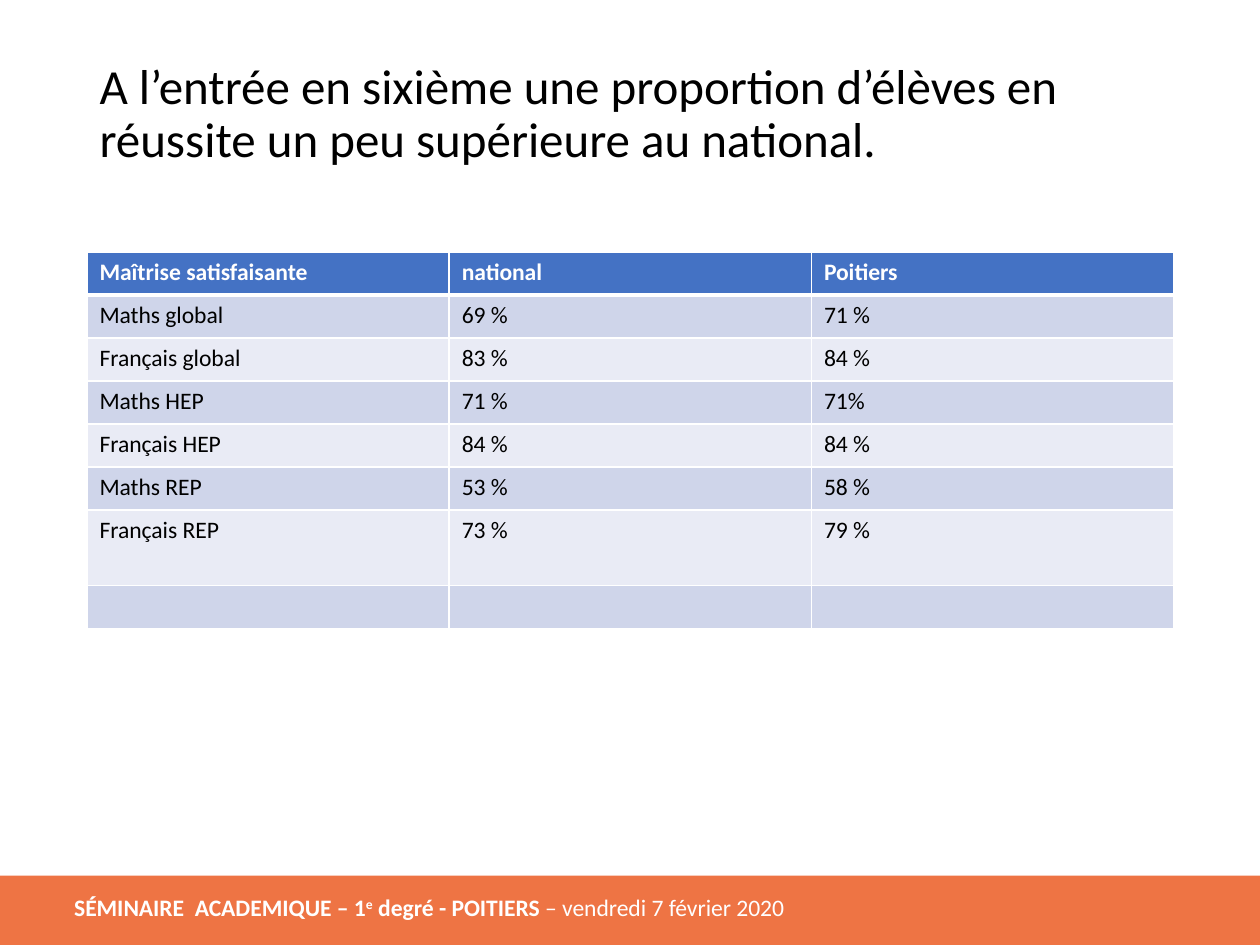
from dataclasses import dataclass

from lxml import etree
from pptx import Presentation
from pptx.dml.color import RGBColor
from pptx.enum.shapes import MSO_SHAPE
from pptx.enum.text import MSO_ANCHOR, MSO_AUTO_SIZE, PP_ALIGN
from pptx.oxml.ns import qn
from pptx.util import Pt

RECTANGLE = MSO_SHAPE.RECTANGLE
MIDDLE = MSO_ANCHOR.MIDDLE
LEFT = PP_ALIGN.LEFT
NO_AUTOFIT = MSO_AUTO_SIZE.NONE


@dataclass(frozen=True)
class Theme:
    font: str = "Calibri"
    title_size: float = 28
    body_size: float = 13.5
    black: str = "000000"
    white: str = "FFFFFF"
    orange: str = "EE7444"
    header: str = "4472C4"
    bands: tuple = ("CFD5EA", "E9EBF5")
    thin: float = 1
    thick: float = 3


THEME = Theme()

TITLE = ("A l’entrée en sixième une proportion d’élèves en "
         "réussite un peu supérieure au national.")
RESULTS = [
    ("Maîtrise satisfaisante", "national", "Poitiers"),
    ("Maths global", "69 %", "71 %"),
    ("Français global", "83 %", "84 %"),
    ("Maths HEP", "71 %", "71%"),
    ("Français HEP", "84 %", "84 %"),
    ("Maths REP", "53 %", "58 %"),
    ("Français REP", "73 %", "79 %"),
    ("", "", ""),
]
FOOTER = [
    ("SÉMINAIRE  ACADEMIQUE – 1", True, 0),
    ("e", True, 30000),
    (" degré - POITIERS ", True, 0),
    ("– vendredi 7 février 2020", False, 0),
]
COLUMN_WIDTH = 207
ROW_HEIGHT = 24.6
TALL_ROW, TALL_HEIGHT = 6, 43


def style_span(span, size, color, bold=False):
    span.font.name = THEME.font
    span.font.size = Pt(size)
    span.font.bold = bold
    span.font.color.rgb = RGBColor.from_string(color)


def add_footer(page):
    bar = page.shapes.add_shape(RECTANGLE, 0, Pt(500.4), Pt(720), Pt(39.6))
    bar.shadow.inherit = False
    bar.fill.solid()
    bar.fill.fore_color.rgb = RGBColor.from_string(THEME.orange)
    bar.line.fill.background()
    box = page.shapes.add_textbox(Pt(35.3), Pt(506.9), Pt(635), Pt(28.8))
    box.text_frame.word_wrap = True
    para = box.text_frame.paragraphs[0]
    for text, bold, baseline in FOOTER:
        span = para.add_run()
        span.text = text
        style_span(span, THEME.body_size, THEME.white, bold)
        if baseline:
            span._r.get_or_add_rPr().set("baseline", str(baseline))


def set_title(page):
    title = page.shapes.title
    title.left, title.top = Pt(49.7), Pt(28.8)
    title.width, title.height = Pt(620.6), Pt(104.4)
    frame = title.text_frame
    frame.text = TITLE
    frame.word_wrap = True
    frame.auto_size = NO_AUTOFIT
    frame.vertical_anchor = MIDDLE
    frame.margin_bottom = Pt(34)
    para = frame.paragraphs[0]
    para.alignment = LEFT
    para.line_spacing = 0.9
    style_span(para.runs[0], THEME.title_size, THEME.black)


def set_border(cell, side, width):
    properties = cell._tc.get_or_add_tcPr()
    line = etree.SubElement(properties, qn(f"a:ln{side}"), w=str(Pt(width)))
    fill = etree.SubElement(line, qn("a:solidFill"))
    etree.SubElement(fill, qn("a:srgbClr"), val=THEME.white)


def fill_cell(cell, text, row):
    is_header = row == 0
    top = THEME.thick if row == 1 else THEME.thin
    bottom = THEME.thick if is_header else THEME.thin
    for side, width in zip("LRTB", (THEME.thin, THEME.thin, top, bottom)):
        set_border(cell, side, width)
    color = THEME.header if is_header else THEME.bands[(row - 1) % 2]
    cell.fill.solid()
    cell.fill.fore_color.rgb = RGBColor.from_string(color)
    para = cell.text_frame.paragraphs[0]
    if text:
        para.text = text
        text_color = THEME.white if is_header else THEME.black
        style_span(para.runs[0], THEME.body_size, text_color, is_header)
    else:
        size = str(int(THEME.body_size * 100))
        etree.SubElement(para._p, qn("a:endParaRPr"), sz=size)


def add_results_table(page):
    heights = [ROW_HEIGHT] * len(RESULTS)
    heights[TALL_ROW] = TALL_HEIGHT
    column_count = len(RESULTS[0])
    table = page.shapes.add_table(
        len(RESULTS), column_count, Pt(49.7), Pt(144),
        Pt(COLUMN_WIDTH * column_count), Pt(sum(heights))).table
    for column in table.columns:
        column.width = Pt(COLUMN_WIDTH)
    for row, values in enumerate(RESULTS):
        table.rows[row].height = Pt(heights[row])
        for column, text in enumerate(values):
            fill_cell(table.cell(row, column), text, row)


def main():
    deck = Presentation()
    deck.slide_width, deck.slide_height = Pt(720), Pt(540)
    page = deck.slides.add_slide(deck.slide_layouts[5])
    add_footer(page)
    set_title(page)
    add_results_table(page)
    deck.save("out.pptx")


if __name__ == "__main__":
    main()
